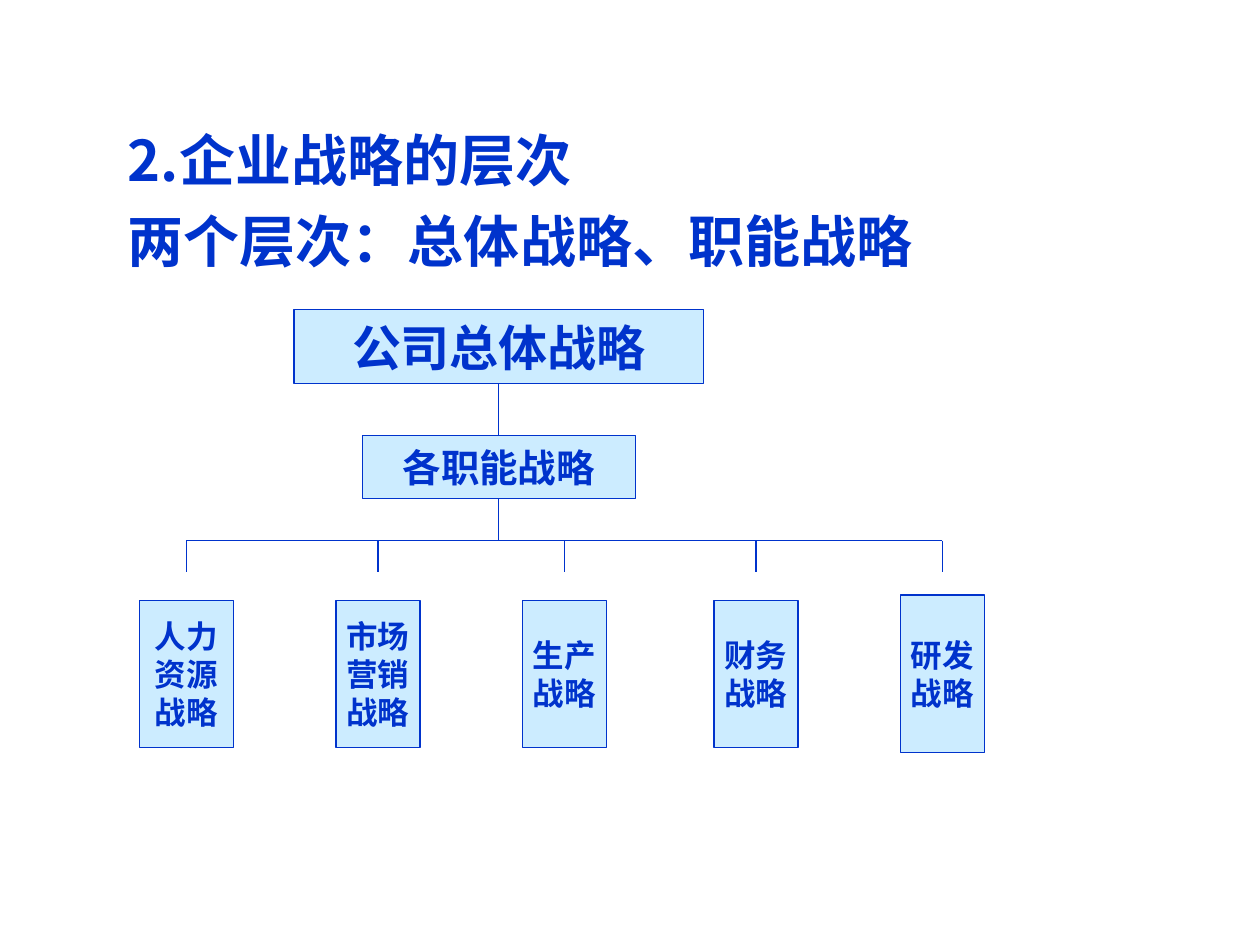
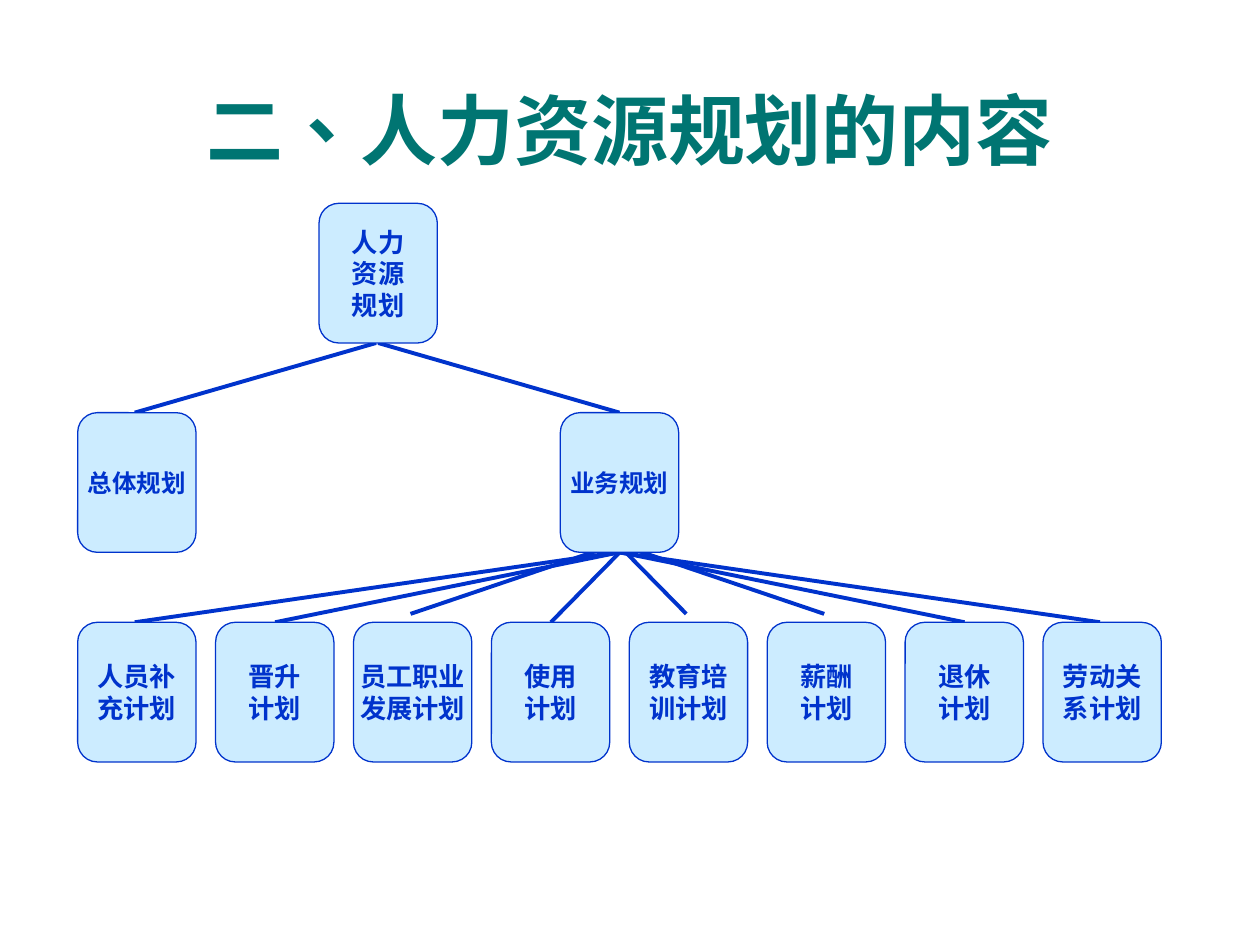
from dataclasses import dataclass

from lxml.etree import SubElement
from pptx import Presentation
from pptx.dml.color import RGBColor
from pptx.enum.lang import MSO_LANGUAGE_ID as Lang
from pptx.enum.shapes import MSO_CONNECTOR as Link, MSO_SHAPE as Form
from pptx.enum.text import MSO_ANCHOR as Anchor, PP_ALIGN as Align
from pptx.oxml.ns import qn
from pptx.slide import Slide
from pptx.text.text import TextFrame
from pptx.util import Pt

BLUE, PALE, GREEN = "0033CC", "CCECFF", "007572"
HEAD_FONT, CARD_FONT = "Noto Sans CJK SC", "Arial"
THIN, THICK = 0.75, 2.25


@dataclass(frozen=True)
class Card:
    text: str
    left: float
    top: float
    width: float
    height: float
    size: float
    form: Form = Form.RECTANGLE
    inset: float | None = None

    @property
    def mid(self) -> float:
        return self.left + self.width / 2

    @property
    def foot(self) -> float:
        return self.top + self.height


@dataclass(frozen=True)
class Head:
    text: str
    left: float
    top: float
    width: float
    height: float
    size: float
    color: str
    lang: Lang = Lang.SIMPLIFIED_CHINESE
    align: Align = Align.LEFT
    anchor: Anchor = Anchor.TOP


@dataclass(frozen=True)
class Plan:
    """A leaf of the plan tree; shift and lift move its branch line."""
    text: str
    shift: float = 0
    lift: float = 0


def paint(color: str) -> RGBColor:
    return RGBColor.from_string(color)


def write(frame: TextFrame, text: str, font: str, size: float, color: str,
          align: Align, lang: Lang = Lang.SIMPLIFIED_CHINESE, gap: float = 0) -> None:
    """Write one paragraph per line of text, with a gap between them."""
    style = {"name": font, "size": Pt(size), "bold": True, "language_id": lang}
    for num, line in enumerate(text.split("\n")):
        para = frame.add_paragraph() if num else frame.paragraphs[0]
        para.alignment = align
        if num and gap:
            para.space_before = Pt(gap)
        run = para.add_run()
        run.text = line
        for key, value in style.items():
            setattr(run.font, key, value)
        run.font.color.rgb = paint(color)


def draw_head(slide: Slide, head: Head) -> None:
    area = map(Pt, (head.left, head.top, head.width, head.height))
    frame = slide.shapes.add_textbox(*area).text_frame
    frame.word_wrap = True
    frame.vertical_anchor = head.anchor
    write(frame, head.text, HEAD_FONT, head.size, head.color, head.align, head.lang, gap=8)


def draw_card(slide: Slide, card: Card) -> None:
    area = map(Pt, (card.left, card.top, card.width, card.height))
    shape = slide.shapes.add_shape(card.form, *area)
    shape.shadow.inherit = False
    shape.fill.solid()
    shape.fill.fore_color.rgb = paint(PALE)
    shape.line.color.rgb = paint(BLUE)
    shape.line.width = Pt(THIN)
    frame = shape.text_frame
    frame.word_wrap = False
    frame.vertical_anchor = Anchor.MIDDLE
    if card.inset is not None:
        for side in ("left", "top", "right", "bottom"):
            setattr(frame, f"margin_{side}", Pt(card.inset))
    write(frame, card.text, CARD_FONT, card.size, BLUE, Align.CENTER)


def draw_line(slide: Slide, x1: float, y1: float, x2: float, y2: float,
              width: float = THIN) -> None:
    line = slide.shapes.add_connector(Link.STRAIGHT, *map(Pt, (x1, y1, x2, y2)))
    line.line.color.rgb = paint(BLUE)
    line.line.width = Pt(width)
    SubElement(line._element.spPr, qn("a:effectLst"))


def build_levels(slide: Slide) -> None:
    draw_head(slide, Head("2.企业战略的层次\n两个层次：总体战略、职能战略",
                          66, 68, 624, 439, 32, BLUE))
    whole = Card("公司总体战略", 168, 177, 234, 42, 28)
    parts = Card("各职能战略", 207, 249, 156, 36, 22)
    rail, drop, center = 309, 18, 385
    leaves = [  # text, middle, width, height
        ("人力\n资源\n战略", 106.5, 54, 84),
        ("市场\n营销\n战略", 216, 48, 84),
        ("生产\n战略", 322.5, 48, 84),
        ("财务\n战略", 432, 48, 84),
        ("研发\n战略", 538.5, 48, 90),
    ]
    draw_card(slide, whole)
    draw_card(slide, parts)
    draw_line(slide, whole.mid, whole.foot, parts.mid, parts.top)
    draw_line(slide, parts.mid, parts.foot, parts.mid, rail)
    draw_line(slide, leaves[0][1], rail, leaves[-1][1], rail)
    for text, mid, width, height in leaves:
        draw_card(slide, Card(text, mid - width / 2, center - height / 2, width, height, 18))
        draw_line(slide, mid, rail, mid, rail + drop)


def build_plans(slide: Slide) -> None:
    draw_head(slide, Head("二、人力资源规划的内容", 36, 26, 648, 95, 44, GREEN,
                          Lang.TRADITIONAL_CHINESE, Align.CENTER, Anchor.MIDDLE))
    left, step, width, height = 44.4, 78.8, 67.6, 79.8
    tops = (116.2, 235.8, 355.6)
    lean = 1.2  # branch lines end slightly left of the card middles
    shift, lift = 1.4, 4.8
    plans = [
        Plan("人员补\n充计划"),
        Plan("晋升\n计划", shift),
        Plan("员工职业\n发展计划", lift=lift),
        Plan("使用\n计划", shift),
        Plan("教育培\n训计划", lift=lift),
        Plan("薪酬\n计划", lift=lift),
        Plan("退休\n计划", shift),
        Plan("劳动关\n系计划"),
    ]

    def place(text: str, col: float, row: int, size: float = 15) -> Card:
        return Card(text, left + col * step, tops[row], width, height, size,
                    Form.ROUNDED_RECTANGLE, 0)

    root = place("人力\n资源\n规划", 1.75, 0)
    total = place("总体规划", 0, 1, 14)
    work = place("业务规划", 3.5, 1, 14)
    leaves = [place(plan.text, col, 2) for col, plan in enumerate(plans)]

    for plan, leaf in zip(plans, leaves):
        move = plan.shift - lean
        draw_line(slide, leaf.mid + move, leaf.top - plan.lift,
                  work.mid + move, work.foot - plan.lift, THICK)
    for child, move in ((work, 0), (total, -lean)):
        draw_line(slide, child.mid + move, child.top, root.mid + move, root.foot, THICK)
    for card in (root, total, work, *leaves):
        draw_card(slide, card)


def main() -> None:
    deck = Presentation()
    deck.slide_width, deck.slide_height = Pt(720), Pt(540)
    for build in (build_levels, build_plans):
        build(deck.slides.add_slide(deck.slide_layouts[6]))
    deck.save("out.pptx")


if __name__ == "__main__":
    main()
